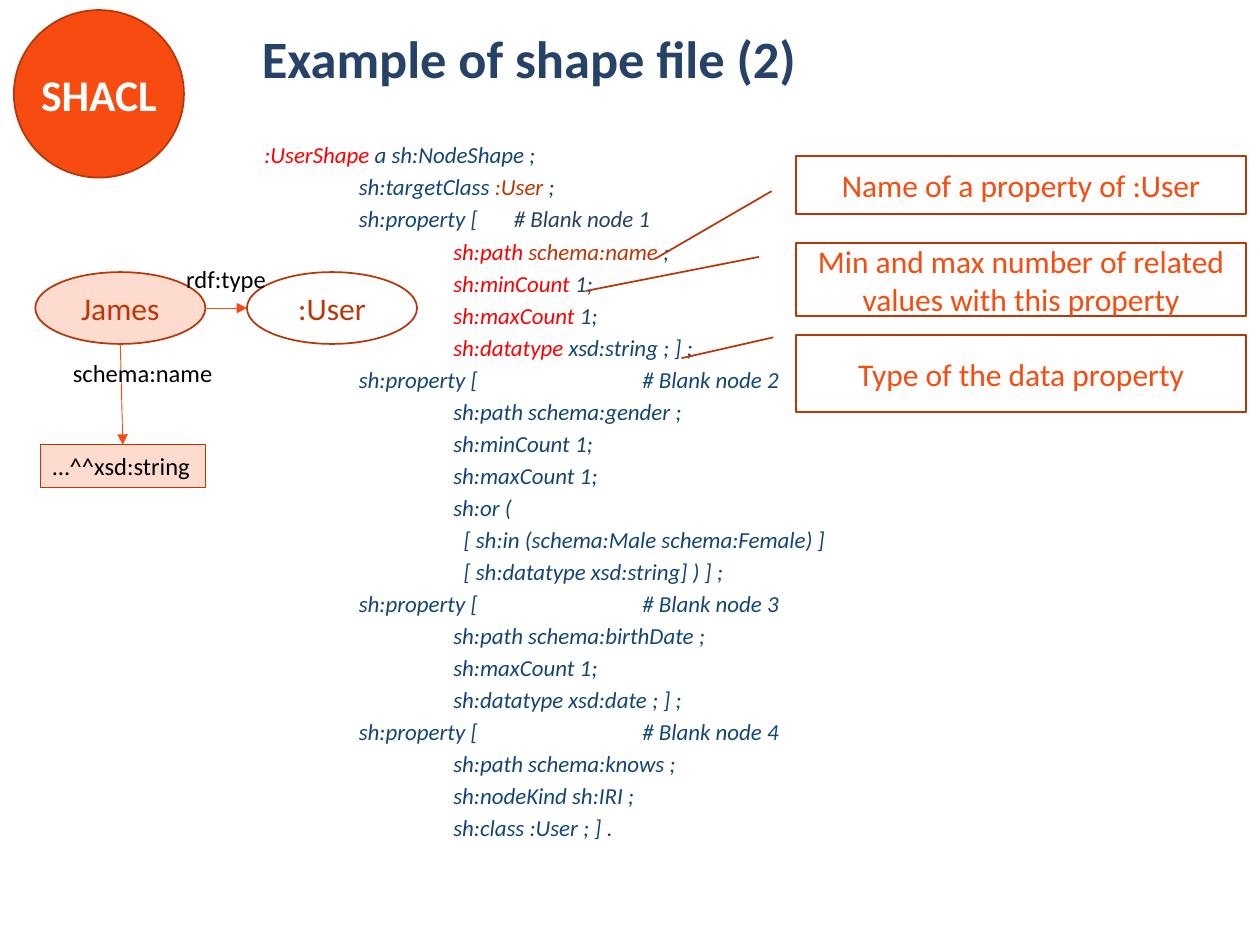
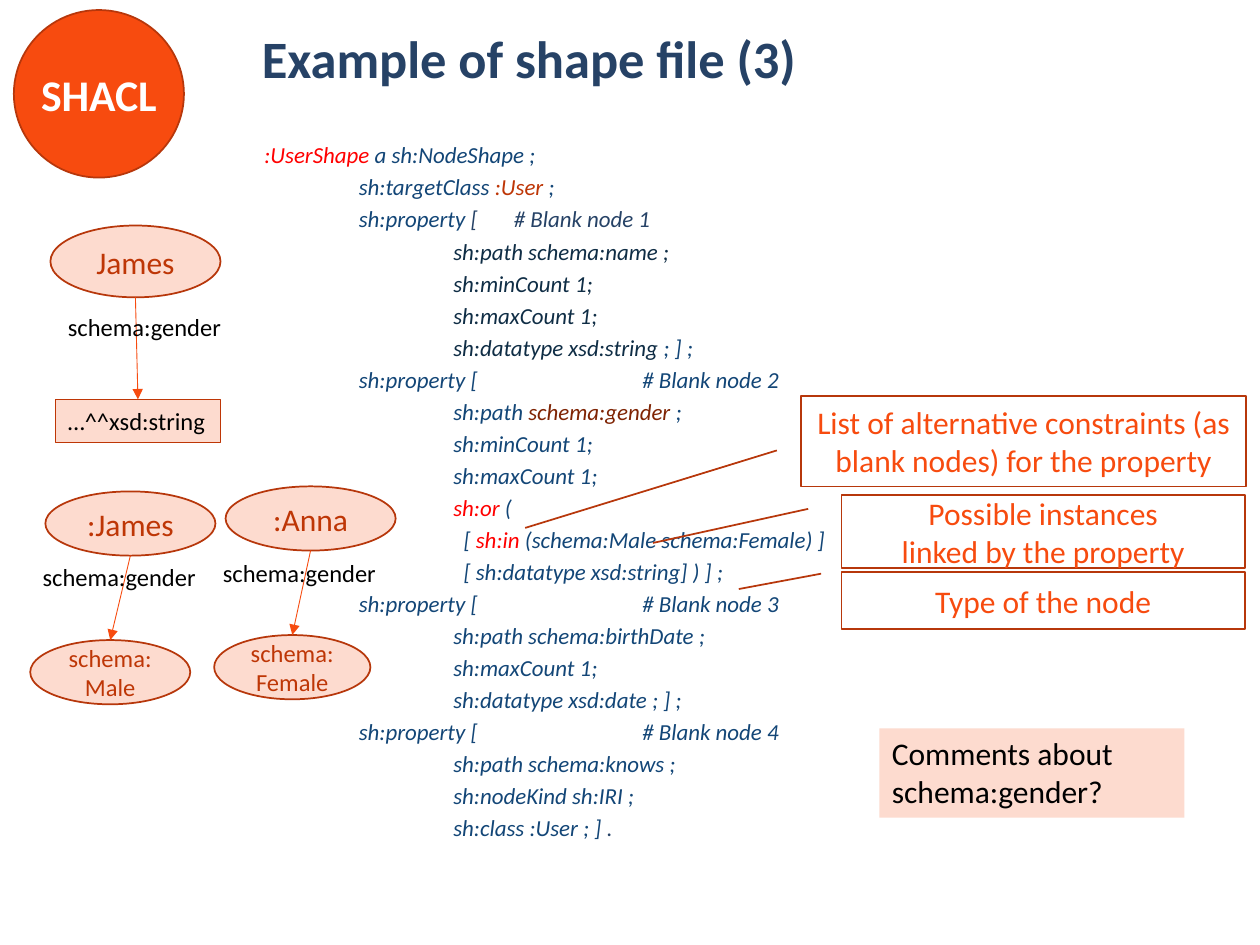
from dataclasses import dataclass

from lxml.etree import SubElement
from pptx import Presentation
from pptx.dml.color import RGBColor
from pptx.enum.shapes import MSO_CONNECTOR, MSO_SHAPE
from pptx.enum.text import MSO_ANCHOR, PP_ALIGN
from pptx.oxml.ns import qn
from pptx.shapes.autoshape import Shape
from pptx.slide import Slide
from pptx.util import Emu, Pt

SCALE = 9144  # EMU in one px, 100 px to the inch


@dataclass(frozen=True)
class Theme:
    font: str = "Calibri"
    navy: str = "264266"
    blue: str = "134677"
    dark: str = "0F2D45"
    red: str = "FF0000"
    rust: str = "BE3606"
    brown: str = "7F2404"
    edge: str = "B7370B"
    orange: str = "F74B0F"
    peach: str = "FDDBCF"
    white: str = "FFFFFF"
    black: str = "000000"
    title: float = 30
    badge: float = 25
    large: float = 18
    small: float = 14
    code: float = 13.1


T = Theme()
Line = str | tuple[tuple[str, str], ...]


@dataclass(frozen=True)
class Box:
    x: int
    y: int
    w: int
    h: int
    text: str
    size: float = T.large
    color: str = T.rust
    fill: str | None = T.peach
    edge: str | None = T.edge
    weight: float = 1
    kind: MSO_SHAPE = MSO_SHAPE.OVAL
    left: bool = False
    bold: bool = False
    inset: int = 10
    turns: tuple[float, ...] = ()


@dataclass(frozen=True)
class Label:
    x: int
    y: int
    w: int
    text: str


@dataclass(frozen=True)
class Link:
    start: Box
    end: Box
    label: Label
    across: bool = False


@dataclass(frozen=True)
class Page:
    title: str
    code: dict[int, Line]
    notes: tuple[Box, ...]
    links: tuple[Link, ...]
    extra: tuple[Box, ...] = ()


# Shared parts
def callout(x: int, y: int, w: int, h: int, text: str, *turns: float) -> Box:
    return Box(x, y, w, h, text, color=T.orange, fill=None,
               kind=MSO_SHAPE.LINE_CALLOUT_1, turns=turns)


def literal(x: int, y: int) -> Box:
    return Box(x, y, 131, 34, "…^^xsd:string", T.small, T.black, edge=T.rust,
               weight=0.75, kind=MSO_SHAPE.RECTANGLE, left=True)


BADGE = Box(11, 8, 135, 133, "SHACL", T.badge, T.white, T.orange,
            bold=True, inset=0)
STOPS = (75, 150, 225, 300)
SHORT = (75, 198)  # stops of the first blank node line
FIRST = 2
CODE: list[Line] = [
    ((":UserShape ", T.red), ("a sh:NodeShape ;", T.blue)),
    (("\tsh:targetClass ", T.blue), (":User ", T.rust), (";", T.blue)),
    (("\tsh:property ", T.blue), ("[\t# Blank node 1", T.navy)),
    "\t\tsh:path schema:name ;",
    "\t\tsh:minCount 1;",
    "\t\tsh:maxCount 1;",
    "\t\tsh:datatype xsd:string ; ] ;",
    "\tsh:property [ \t\t# Blank node 2",
    "\t\tsh:path schema:gender ;",
    "\t\tsh:minCount 1;",
    "\t\tsh:maxCount 1;",
    "\t\tsh:or (",
    "\t\t  [ sh:in (schema:Male schema:Female) ]",
    "\t\t  [ sh:datatype xsd:string] ) ] ;",
    "\tsh:property [ \t\t# Blank node 3",
    "\t\tsh:path schema:birthDate ;",
    "\t\tsh:maxCount 1;",
    "\t\tsh:datatype xsd:date ; ] ;",
    "\tsh:property [ \t\t# Blank node 4",
    "\t\tsh:path schema:knows ;",
    "\t\tsh:nodeKind sh:IRI ;",
    (("\t\tsh:class :User ; ] ", T.blue), (".", T.navy)),
]

# Slide data
james = Box(28, 216, 135, 57, "James")
user = Box(196, 216, 135, 57, ":User", fill=T.white)
james_top = Box(40, 179, 135, 57, "James")
james_low = Box(36, 390, 135, 51, ":James")
anna = Box(179, 386, 135, 51, ":Anna")
male = Box(24, 508, 127, 51, "schema:Male", T.small)
female = Box(170, 504, 124, 51, "schema:Female", T.small)

PAGES = (
    Page(
        "Example of shape file (2)",
        {
            3: (("\t\t", T.blue), ("sh:path ", T.red),
                ("schema:name", T.rust), (" ;", T.navy)),
            4: (("\t\t", T.blue), ("sh:minCount", T.red), (" 1;", T.navy)),
            5: (("\t\t", T.blue), ("sh:maxCount", T.red), (" 1;", T.navy)),
            6: (("\t\t", T.blue), ("sh:datatype ", T.red),
                ("xsd:string ; ] ;", T.blue)),
        },
        (
            callout(632, 193, 357, 58,
                    "Min and max number of related values with this property",
                    0.188, -0.083, 0.654, -0.468),
            callout(632, 124, 357, 46, "Name of a property of :User",
                    0.604, -0.055, 1.771, -0.314),
            callout(632, 266, 357, 61, "Type of the data property",
                    0.029, -0.051, 0.3, -0.255),
        ),
        (
            Link(james, literal(32, 353), Label(48, 279, 131, "schema:name")),
            Link(james, user, Label(138, 205, 93, "rdf:type"), across=True),
        ),
    ),
    Page(
        "Example of shape file (3)",
        {
            3: (("\t\tsh:path schema:name ;", T.dark),),
            4: (("\t\tsh:minCount 1;", T.dark),),
            5: (("\t\tsh:maxCount 1;", T.dark),),
            6: (("\t\tsh:datatype xsd:string ", T.dark), ("; ] ;", T.blue)),
            8: (("\t\tsh:path ", T.blue), ("schema:gender", T.brown),
                (" ;", T.blue)),
            11: (("\t\t", T.blue), ("sh:or", T.red), (" (", T.blue)),
            12: (("\t\t  [ ", T.blue), ("sh:in", T.red),
                 (" (schema:Male schema:Female) ]", T.blue)),
        },
        (
            callout(668, 393, 320, 58,
                    "Possible instances\nlinked by the property",
                    0.188, -0.083, 0.654, -0.468),
            callout(636, 314, 353, 72,
                    "List of alternative constraints (as blank nodes) "
                    "for the property",
                    0.604, -0.055, 1.458, -0.621),
            callout(668, 454, 320, 45, "Type of the node",
                    0.029, -0.051, 0.3, -0.255),
        ),
        (
            Link(james_low, male, Label(24, 441, 146, "schema:gender")),
            Link(anna, female, Label(167, 438, 146, "schema:gender")),
            Link(james_top, literal(44, 317),
                 Label(44, 243, 146, "schema:gender")),
        ),
        (Box(698, 578, 242, 71, "Comments about schema:gender?",
             color=T.black, edge=None, kind=MSO_SHAPE.RECTANGLE, left=True),),
    ),
)


# Drawing
def px(*spans: float) -> list[Emu]:
    return [Emu(round(span * SCALE)) for span in spans]


def rgb(color: str) -> RGBColor:
    return RGBColor.from_string(color)


def style(item, size: float, color: str | None, bold: bool = False) -> None:
    font = item.font
    font.name, font.size, font.bold = T.font, Pt(size), bold
    if color:
        font.color.rgb = rgb(color)


def draw_box(slide: Slide, box: Box) -> Shape:
    shape = slide.shapes.add_shape(box.kind, *px(box.x, box.y, box.w, box.h))
    shape.shadow.inherit = False
    for i, turn in enumerate(box.turns):
        shape.adjustments[i] = turn
    if box.fill:
        shape.fill.solid()
        shape.fill.fore_color.rgb = rgb(box.fill)
    else:
        shape.fill.background()
    if box.edge:
        shape.line.color.rgb = rgb(box.edge)
        shape.line.width = Pt(box.weight)
    else:
        shape.line.fill.background()
    frame = shape.text_frame
    frame.word_wrap = True
    frame.margin_left = frame.margin_right = px(box.inset)[0]
    frame.vertical_anchor = MSO_ANCHOR.TOP if box.left else MSO_ANCHOR.MIDDLE
    frame.text = box.text
    for par in frame.paragraphs:
        par.alignment = PP_ALIGN.LEFT if box.left else PP_ALIGN.CENTER
        style(par, box.size, box.color, box.bold)
    return shape


def draw_label(slide: Slide, label: Label) -> None:
    area = slide.shapes.add_textbox(*px(label.x, label.y, label.w, 34))
    area.text_frame.word_wrap = False
    area.text_frame.text = label.text
    style(area.text_frame.paragraphs[0], T.small, T.black)


def draw_link(slide: Slide, link: Link) -> None:
    a, b = link.start, link.end
    if link.across:
        ends = (a.x + a.w, a.y + a.h / 2, b.x, b.y + b.h / 2)
    else:
        ends = (a.x + a.w / 2, a.y + a.h, b.x + b.w / 2, b.y)
    goal = draw_box(slide, b)
    arrow = slide.shapes.add_connector(MSO_CONNECTOR.STRAIGHT, *px(*ends))
    if b.kind == MSO_SHAPE.RECTANGLE:
        arrow.end_connect(goal, 0)
    arrow.line.color.rgb = rgb(T.orange)
    arrow.line.width = Pt(0.5)
    SubElement(arrow.line._get_or_add_ln(), qn("a:tailEnd"), type="triangle")
    SubElement(arrow._element.spPr, qn("a:effectLst"))
    draw_label(slide, link.label)


def draw_title(slide: Slide, text: str) -> None:
    frame = slide.shapes.add_textbox(*px(198, 0, 791, 98)).text_frame
    frame.word_wrap = True
    frame.vertical_anchor = MSO_ANCHOR.MIDDLE
    frame.text = text
    par = frame.paragraphs[0]
    par.line_spacing = 0.9
    style(par, T.title, T.navy, bold=True)


def draw_code(slide: Slide, edits: dict[int, Line]) -> None:
    frame = slide.shapes.add_textbox(*px(200, 113, 483, 607)).text_frame
    frame.word_wrap = True
    for i, base in enumerate(CODE):
        line = edits.get(i, base)
        runs = ((line, T.blue),) if isinstance(line, str) else line
        par = frame.add_paragraph() if i else frame.paragraphs[0]
        par.line_spacing = 0.7
        par.space_before = Pt(7.3 if i else 0)
        tabs = SubElement(par._p.get_or_add_pPr(), qn("a:tabLst"))
        for stop in SHORT if i == FIRST else STOPS:
            SubElement(tabs, qn("a:tab"), pos=str(px(stop)[0]), algn="l")
        style(par, T.code, runs[0][1] if len(runs) == 1 else None)
        par.font.italic = True
        for text, color in runs:
            run = par.add_run()
            run.text = text
            if len(runs) > 1:
                run.font.color.rgb = rgb(color)


def draw_page(slide: Slide, page: Page) -> None:
    draw_box(slide, BADGE)
    draw_title(slide, page.title)
    draw_code(slide, page.code)
    for box in page.notes + page.extra:
        draw_box(slide, box)
    # Each start node once, then its arrows
    for box in dict.fromkeys(link.start for link in page.links):
        draw_box(slide, box)
    for link in page.links:
        draw_link(slide, link)


def main() -> None:
    deck = Presentation()
    deck.slide_width, deck.slide_height = px(1000, 750)
    for page in PAGES:
        draw_page(deck.slides.add_slide(deck.slide_layouts[6]), page)
    deck.save("out.pptx")


if __name__ == "__main__":
    main()
